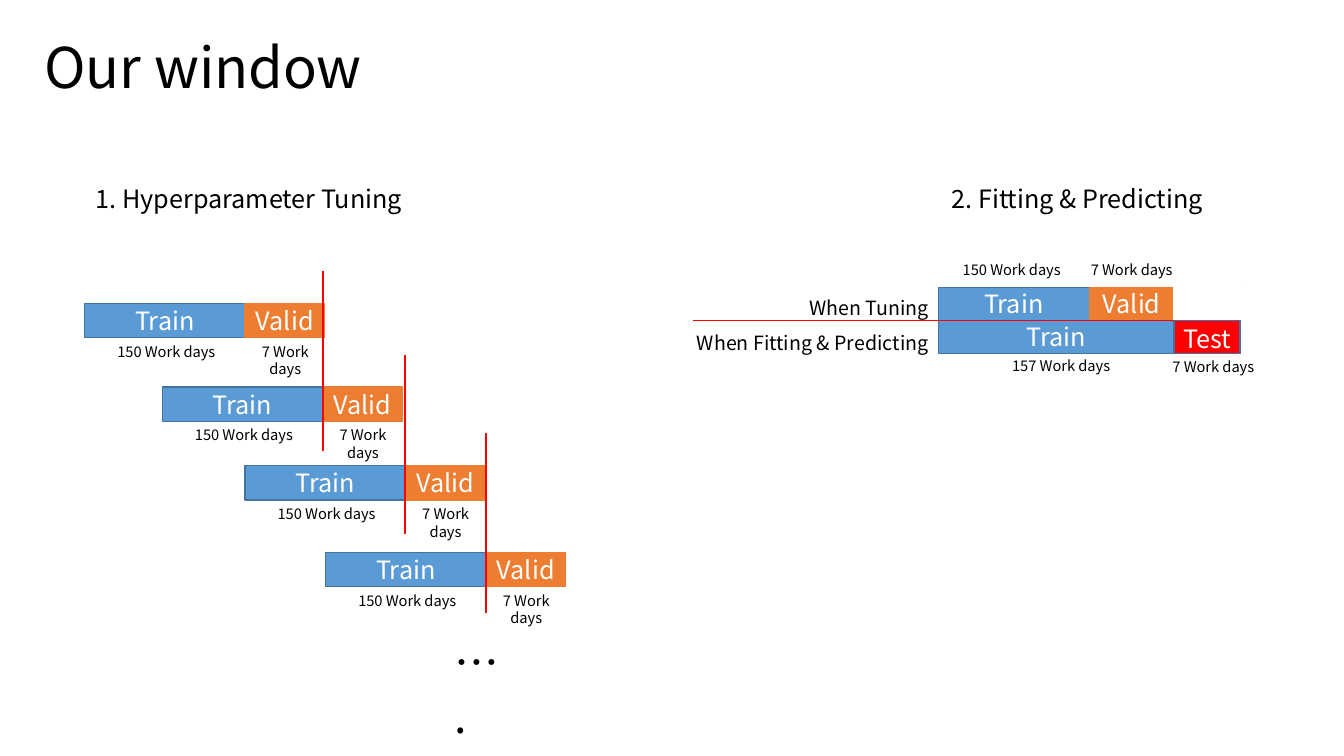
from lxml.etree import SubElement
from pptx import Presentation
from pptx.dml.color import RGBColor
from pptx.enum.shapes import MSO_CONNECTOR, MSO_SHAPE
from pptx.enum.text import MSO_ANCHOR, PP_ALIGN
from pptx.oxml.ns import qn
from pptx.util import Inches, Pt

FONT = "Noto Sans CJK KR"
BLACK = RGBColor(0x00, 0x00, 0x00)
WHITE = RGBColor(0xFF, 0xFF, 0xFF)
BLUE = RGBColor(0x5B, 0x9B, 0xD5)
EDGE = RGBColor(0x43, 0x73, 0x9E)
ORANGE = RGBColor(0xED, 0x7D, 0x31)
RED = RGBColor(0xFF, 0x00, 0x00)

CAPTION, LABEL, BODY = 10.5, 14, 18
TRAIN_WIDTH, VALID_WIDTH, BAR_HEIGHT = 1.59, 0.79, 0.34
WINDOW_STARTS = [(0.84, 3.01), (1.61, 3.84), (2.43, 4.62), (3.23, 5.48)]


def write(frame, text, size, color=BLACK, align=PP_ALIGN.LEFT, spacing=None):
    frame.word_wrap = True
    frame.text = text
    for para in frame.paragraphs:
        para.alignment = align
        para.line_spacing = spacing
        para.font.name = FONT
        para.font.size = Pt(size)
        para.font.color.rgb = color


def add_text(page, box, text, size, **style):
    shape = page.shapes.add_textbox(*map(Inches, box))
    write(shape.text_frame, text, size, **style)


def add_bar(page, box, fill, edge, text=""):
    bar = page.shapes.add_shape(MSO_SHAPE.RECTANGLE, *map(Inches, box))
    bar.shadow.inherit = False
    bar.fill.solid()
    bar.fill.fore_color.rgb = fill
    bar.line.color.rgb = edge
    bar.line.width = Pt(1)
    if text:
        bar.text_frame.vertical_anchor = MSO_ANCHOR.MIDDLE
        write(bar.text_frame, text, BODY, WHITE, PP_ALIGN.CENTER)


def add_red_line(page, start, end, width):
    line = page.shapes.add_connector(
        MSO_CONNECTOR.STRAIGHT, *map(Inches, (*start, *end)))
    line.line.color.rgb = RED
    line.line.width = Pt(width)
    SubElement(line._element.spPr, qn("a:effectLst"))


def add_title(page):
    title = page.shapes.title
    title.left, title.top, title.width, title.height = map(
        Inches, (0.34, 0.27, 7.35, 0.77))
    title.text_frame.vertical_anchor = MSO_ANCHOR.TOP
    write(title.text_frame, "Our window", 40)


def add_window(page, left, top):
    """Draw one train and validation window with its captions."""
    split = left + TRAIN_WIDTH
    below = top + BAR_HEIGHT
    add_bar(page, (left, top, TRAIN_WIDTH, BAR_HEIGHT), BLUE, EDGE, "Train")
    add_bar(page, (split, top, VALID_WIDTH, BAR_HEIGHT), ORANGE, ORANGE, "Valid")
    add_text(page, (left + 0.2, below, 1.22, 0.28), "150 Work days", CAPTION,
             align=PP_ALIGN.CENTER)
    add_text(page, (split - 0.05, below, 0.9, 0.45), "7 Work days", CAPTION,
             align=PP_ALIGN.CENTER)


def add_tuning(page):
    add_text(page, (0.85, 1.77, 3.7, 0.4), "1. Hyperparameter Tuning", BODY)
    for left, top in WINDOW_STARTS:
        add_window(page, left, top)
    for (_, top), (next_left, _) in zip(WINDOW_STARTS, WINDOW_STARTS[1:]):
        x = next_left + TRAIN_WIDTH
        add_red_line(page, (x, top - 0.32), (x, top + 1.46), 1.5)
    add_text(page, (4.41, 6.25, 0.67, 0.64), "….", 32)


def add_fitting(page, left, top, width, height):
    """Draw the tuning bar above the fitting bar, with their labels."""
    row = height / 2
    middle, bottom = top + row, top + height
    valid_left, test_left = left + width * 0.5, left + width * 0.78
    test_width = left + width - test_left

    add_text(page, (left + 0.03, 1.77, 3.05, 0.4), "2. Fitting & Predicting", BODY)
    add_bar(page, (left, top, width, height), BLUE, EDGE)
    add_bar(page, (valid_left, top, test_left - valid_left, row), ORANGE, ORANGE)
    add_bar(page, (test_left, top, test_width, row), WHITE, WHITE)
    add_text(page, (left - 2.64, top - 0.08, 2.64, 0.81),
             "When Tuning\nWhen Fitting & Predicting", LABEL,
             align=PP_ALIGN.RIGHT, spacing=1.5)
    add_bar(page, (test_left, middle, test_width, row), RED, EDGE)
    add_red_line(page, (test_left, middle), (left - 2.44, middle), 1.25)

    names = [("Train", 0, top - 0.04), ("Valid", 1.17, top - 0.04),
             ("Train", 0.42, middle - 0.04), ("Test", 1.92, middle - 0.02)]
    for name, shift, y in names:
        add_text(page, (left + shift, y, 1.49, 0.4), name, BODY,
                 color=WHITE, align=PP_ALIGN.CENTER)

    captions = [("150 Work days", 0.14, top - 0.31), ("7 Work days", 1.41, top - 0.31),
                ("157 Work days", 0.63, bottom - 0.02), ("7 Work days", 2.22, bottom - 0.01)]
    for caption, shift, y in captions:
        add_text(page, (left + shift, y, 1.21, 0.28), caption, CAPTION)


def main():
    deck = Presentation()
    deck.slide_width, deck.slide_height = Inches(13.33), Inches(7.5)
    page = deck.slides.add_slide(deck.slide_layouts[5])
    add_title(page)
    add_tuning(page)
    add_fitting(page, 9.31, 2.85, 2.99, 0.66)
    deck.save("out.pptx")


if __name__ == "__main__":
    main()
